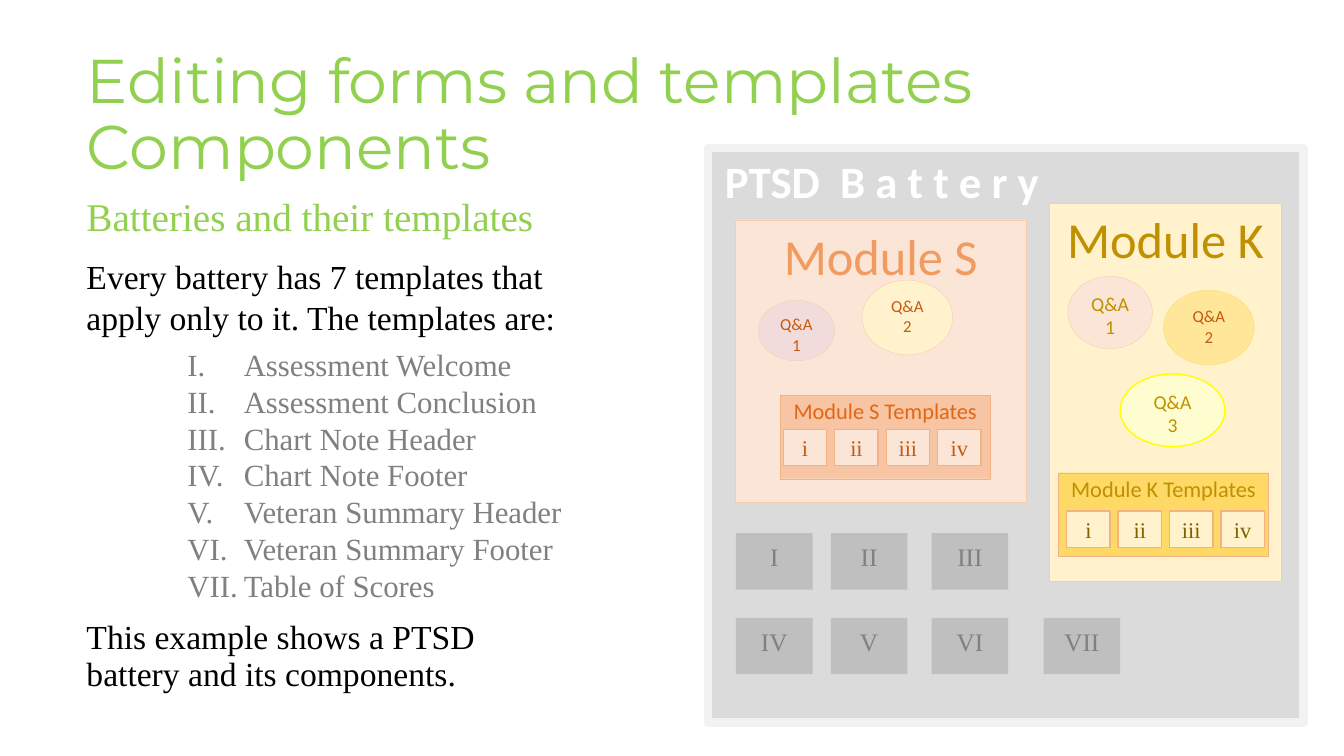
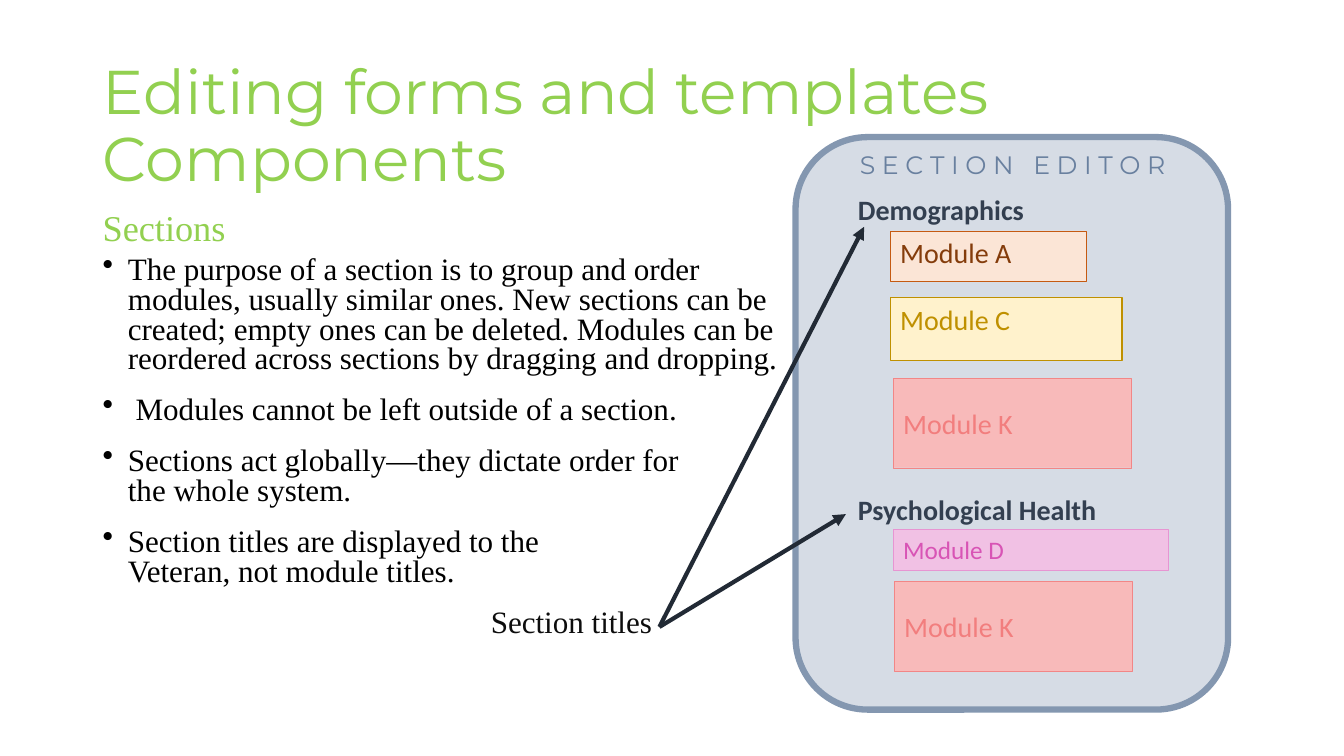
import pptx
import pptx.dml.color
import pptx.enum.shapes
import pptx.enum.text
import pptx.oxml
import pptx.util
from dataclasses import dataclass

Inches = pptx.util.Inches
Pt = pptx.util.Pt
SHAPES = pptx.enum.shapes.MSO_SHAPE
ANCHOR = pptx.enum.text.MSO_ANCHOR
ALIGN = pptx.enum.text.PP_ALIGN


@dataclass(frozen=True)
class Theme:
    serif: str = "Times New Roman"
    sans: str = "Calibri"
    display: str = "Montserrat"
    green: str = "92D050"
    black: str = "000000"
    near_black: str = "0D0D0D"
    white: str = "FFFFFF"
    gray: str = "808080"
    tile: str = "BFBFBF"
    battery: str = "DBDBDB"
    battery_edge: str = "F2F2F2"
    cream: str = "FFF2CC"
    gold: str = "FFD966"
    pale_gold: str = "FFE699"
    dark_gold: str = "BF9000"
    brown_gold: str = "806000"
    peach: str = "FBE5D6"
    peach_edge: str = "F8CBAD"
    salmon: str = "F7C5A3"
    salmon_edge: str = "F4B183"
    orange: str = "F19B61"
    bright_orange: str = "E26714"
    rust: str = "C55A11"
    brown: str = "843C0B"
    mauve: str = "F2DCDB"
    lemon: str = "FEFDCF"
    yellow: str = "FFFF00"
    editor: str = "D6DCE5"
    editor_edge: str = "8497B0"
    editor_text: str = "69809F"
    slate: str = "333F50"
    arrow: str = "222A35"
    red: str = "F8BABA"
    red_edge: str = "F28686"
    red_text: str = "F27E7E"
    pink: str = "F1C1E4"
    pink_edge: str = "E795D2"
    pink_text: str = "D854B5"
    title_size: float = 44.1
    module_size: float = 36
    battery_size: float = 32
    heading_size: float = 28
    section_heading_size: float = 25.9
    body_size: float = 24
    bullet_size: float = 22.2
    list_size: float = 22
    section_size: float = 20
    label_size: float = 18
    chip_size: float = 16
    answer_size: float = 14
    small_answer_size: float = 12


T = Theme()
TITLE = "Editing forms and templates\vComponents"

# Body paragraphs: text, size, colour, line spacing, points before, points after, list style
TEMPLATES = ["Assessment Welcome", "Assessment Conclusion", "Chart Note Header", "Chart Note Footer",
             "Veteran Summary Header", "Veteran Summary Footer", "Table of Scores"]
BATTERY_BODY = [
    ("Batteries and their templates", T.heading_size, T.green, 1, 6, 6, None),
    ("Every battery has 7 templates that\vapply only to it. The templates are:",
     T.body_size, T.black, 1, 6, 6, None),
    *[(name, T.list_size, T.gray, 1, 0, 6 if name == TEMPLATES[-1] else 0, "roman")
      for name in TEMPLATES],
    ("This example shows a PTSD\vbattery and its components.", T.body_size, T.black, 0.9, 6, 0, None),
]
SECTION_POINTS = [
    "The purpose of a section is to group and order\vmodules, usually similar ones. "
    "New sections can be\vcreated; empty ones can be deleted. Modules can be\v"
    "reordered across sections by dragging and dropping.",
    " Modules cannot be left outside of a section.",
    "Sections act globally—they dictate order for\vthe whole system.",
    "Section titles are displayed to the\vVeteran, not module titles.",
]
SECTION_BODY = [
    ("Sections", T.section_heading_size, T.green, 0.7, 10, 0, None),
    *[(point, T.bullet_size, T.black, 0.8, 6, 9, "bullet") for point in SECTION_POINTS],
    ("Section titles", T.bullet_size, T.near_black, 0.8, 6, 9, "caption"),
]
# List style: left margin and first-line indent in inches, marker
LIST_STYLES = {
    "roman": (1.56, -0.56, '<a:buAutoNum {} type="romanUcPeriod"/>'),
    "bullet": (0.25, -0.25, '<a:buChar {} char="•"/>'),
    "caption": (3.85, 0, '<a:buNone {}/>'),
}

# Modules: name, box, fill, edge, edge width, text colour
BATTERY_MODULES = [
    ("Module K", (10.41, 2.02, 2.3, 3.75), T.cream, T.peach_edge, 1, T.dark_gold),
    ("Module S", (7.29, 2.18, 2.89, 2.8), T.peach, T.peach_edge, 0.25, T.orange),
]
# Answers: number, box, fill, edge, edge width, text size, text colour
ANSWERS = [
    (1, (10.59, 2.74, 0.84, 0.72), T.peach, T.peach_edge, 0.25, T.answer_size, T.dark_gold),
    (3, (11.11, 3.71, 1.04, 0.72), T.lemon, T.yellow, 1, T.answer_size, T.dark_gold),
    (1, (7.52, 2.98, 0.76, 0.6), T.mauve, T.peach_edge, 0.25, T.small_answer_size, T.rust),
    (2, (8.55, 2.78, 0.9, 0.74), T.cream, T.peach_edge, 0.25, T.small_answer_size, T.rust),
    (2, (11.54, 2.88, 0.9, 0.74), T.pale_gold, T.gold, 0.25, T.small_answer_size, T.rust),
]
# Template panels: name, left, top, fill, text colour, first chip offset, chip fill, chip text
PANELS = [
    ("Module K Templates", 10.5, 4.69, T.gold, T.dark_gold, (0.08, 0.38), T.cream, T.brown_gold),
    ("Module S Templates", 7.74, 3.92, T.salmon, T.bright_orange, (0.03, 0.34), T.peach, T.rust),
]
CHIPS = ["i", "ii", "iii", "iv"]
CHIP_STEP = 0.51
TILE_COLUMNS = [7.3, 8.24, 9.24, 10.35]
TILE_ROWS = [(5.29, ["I", "II", "III"]), (6.13, ["IV", "V", "VI", "VII"])]

# Section modules: name, box, fill, edge, edge width, text colour, size, anchor
SECTION_MODULES = [
    ("Module A", (8.83, 2.29, 1.94, 0.5), T.peach, T.rust, 0.25, T.brown, T.section_size, ANCHOR.TOP),
    ("Module C", (8.83, 2.95, 2.3, 0.63), T.cream, T.dark_gold, 1, T.dark_gold, T.section_size, ANCHOR.TOP),
    ("Module K", (8.86, 3.75, 2.36, 0.89), T.red, T.red_edge, 0.25, T.red_text, T.section_size, ANCHOR.MIDDLE),
    ("Module D", (8.86, 5.25, 2.73, 0.41), T.pink, T.pink_edge, 0.25, T.pink_text, T.label_size, ANCHOR.MIDDLE),
    ("Module K", (8.87, 5.77, 2.36, 0.89), T.red, T.red_edge, 0.25, T.red_text, T.section_size, ANCHOR.MIDDLE),
]
SECTION_TITLES = [("Demographics", (8.41, 1.86, 3.45, 0.44)),
                  ("Psychological Health", (8.41, 4.84, 3.59, 0.44))]
ARROW_START = (6.54, 6.22)
ARROW_ENDS = [(8.39, 5.1), (8.57, 2.25)]


def rgb(color):
    return pptx.dml.color.RGBColor.from_string(color)


def inches(values):
    return [Inches(value) for value in values]


def format_runs(paragraph, font, size, color, bold=False):
    for run in paragraph.runs:
        run.font.name = font
        run.font.size = Pt(size)
        run.font.color.rgb = rgb(color)
        run.font.bold = bold


def set_text(shape, text, font, size, color, align=ALIGN.LEFT, anchor=ANCHOR.TOP,
             bold=False, inset=(0.1, 0.05)):
    """Write one paragraph; inset is the side and top margin."""
    frame = shape.text_frame
    frame.word_wrap = True
    frame.vertical_anchor = anchor
    frame.margin_left = frame.margin_right = Inches(inset[0])
    frame.margin_top = Inches(inset[1])
    frame.text = text
    paragraph = frame.paragraphs[0]
    paragraph.alignment = align
    format_runs(paragraph, font, size, color, bold)


def add_box(slide, box, fill, edge=None, width=0.25, kind=SHAPES.RECTANGLE):
    shape = slide.shapes.add_shape(kind, *inches(box))
    shape.shadow.inherit = False
    shape.fill.solid()
    shape.fill.fore_color.rgb = rgb(fill)
    if edge:
        shape.line.color.rgb = rgb(edge)
        shape.line.width = Pt(width)
    else:
        shape.line.fill.background()
    return shape


def add_label(slide, box, *args, **kwargs):
    set_text(slide.shapes.add_textbox(*inches(box)), *args, **kwargs)


def add_titled_slide(presentation, box):
    slide = presentation.slides.add_slide(presentation.slide_layouts[5])
    title = slide.shapes.title
    title.left, title.top, title.width, title.height = inches(box)
    set_text(title, TITLE, T.display, T.title_size, T.green, anchor=ANCHOR.MIDDLE)
    title.text_frame.auto_size = pptx.enum.text.MSO_AUTO_SIZE.NONE
    paragraph = title.text_frame.paragraphs[0]
    paragraph.line_spacing = 0.9
    paragraph.space_before = Pt(0)
    return slide


def add_body(slide, box, content):
    frame = slide.shapes.add_textbox(*inches(box)).text_frame
    frame.word_wrap = True
    for index, (text, size, color, spacing, before, after, style) in enumerate(content):
        paragraph = frame.add_paragraph() if index else frame.paragraphs[0]
        paragraph.text = text
        paragraph.line_spacing = spacing
        paragraph.space_before = Pt(before)
        paragraph.space_after = Pt(after)
        format_runs(paragraph, T.serif, size, color)
        if style:
            margin, indent, marker = LIST_STYLES[style]
            properties = paragraph._p.get_or_add_pPr()
            properties.set("marL", str(Inches(margin)))
            properties.set("indent", str(Inches(indent)))
            properties.append(pptx.oxml.parse_xml(marker.format(pptx.oxml.ns.nsdecls("a"))))


def add_arrow(slide, start, end):
    arrow = slide.shapes.add_connector(pptx.enum.shapes.MSO_CONNECTOR.STRAIGHT, *inches(start + end))
    arrow.line.color.rgb = rgb(T.arrow)
    arrow.line.width = Pt(3)
    namespace = pptx.oxml.ns.nsdecls("a")
    arrow.line._get_or_add_ln().append(
        pptx.oxml.parse_xml(f'<a:tailEnd {namespace} type="triangle"/>'))
    arrow._element.spPr.append(pptx.oxml.parse_xml(f"<a:effectLst {namespace}/>"))


def add_panel(slide, name, left, top, fill, color, offset, chip_fill, chip_color):
    panel = add_box(slide, (left, top, 2.08, 0.83), fill, T.salmon_edge)
    set_text(panel, name, T.sans, T.chip_size, color, ALIGN.CENTER, inset=(0, 0.02))
    for index, numeral in enumerate(CHIPS):
        box = (left + offset[0] + index * CHIP_STEP, top + offset[1], 0.43, 0.36)
        chip = add_box(slide, box, chip_fill, T.salmon_edge, 1)
        set_text(chip, numeral, T.serif, T.chip_size, chip_color, ALIGN.CENTER, ANCHOR.MIDDLE)


def build_battery_slide(presentation):
    slide = add_titled_slide(presentation, (0.76, 0.47, 11.66, 1.37))
    add_body(slide, (0.76, 1.86, 6.1, 5.47), BATTERY_BODY)
    add_box(slide, (7.02, 1.47, 5.91, 5.7), T.battery, T.battery_edge, 6)
    add_label(slide, (7.09, 1.48, 3.41, 0.64), "PTSD  B a t t e r y", T.sans,
              T.battery_size, T.white, bold=True)
    for name, box, fill, edge, width, color in BATTERY_MODULES:
        module = add_box(slide, box, fill, edge, width)
        set_text(module, name, T.sans, T.module_size, color, ALIGN.CENTER)
    for number, box, fill, edge, width, size, color in ANSWERS:
        answer = add_box(slide, box, fill, edge, width, SHAPES.OVAL)
        set_text(answer, f"Q&A\v{number}", T.sans, size, color, ALIGN.CENTER)
    for top, numerals in TILE_ROWS:
        for left, numeral in zip(TILE_COLUMNS, numerals):
            tile = add_box(slide, (left, top, 0.76, 0.56), T.tile)
            set_text(tile, numeral, T.serif, T.label_size, T.gray, ALIGN.CENTER, inset=(0, 0.08))
    for panel in PANELS:
        add_panel(slide, *panel)


def build_section_slide(presentation):
    slide = add_titled_slide(presentation, (0.92, 0.45, 11.5, 1.64))
    add_body(slide, (0.92, 2.11, 7.1, 4.68), SECTION_BODY)
    add_box(slide, (7.89, 1.36, 4.29, 5.68), T.editor, T.editor_edge, 4.5, SHAPES.ROUNDED_RECTANGLE)
    add_label(slide, (8.16, 1.43, 3.77, 0.4), "S E C T I O N   E D I T O R", T.display,
              T.label_size, T.editor_text, ALIGN.CENTER)
    for name, box, fill, edge, width, color, size, anchor in SECTION_MODULES:
        module = add_box(slide, box, fill, edge, width)
        set_text(module, name, T.sans, size, color, anchor=anchor)
    for name, box in SECTION_TITLES:
        add_label(slide, box, name, T.sans, T.section_size, T.slate, bold=True)
    for end in ARROW_ENDS:
        add_arrow(slide, ARROW_START, end)


def main():
    presentation = pptx.Presentation()
    presentation.slide_width = Inches(13.33)
    presentation.slide_height = Inches(7.5)
    build_battery_slide(presentation)
    build_section_slide(presentation)
    presentation.save("out.pptx")


if __name__ == "__main__":
    main()
